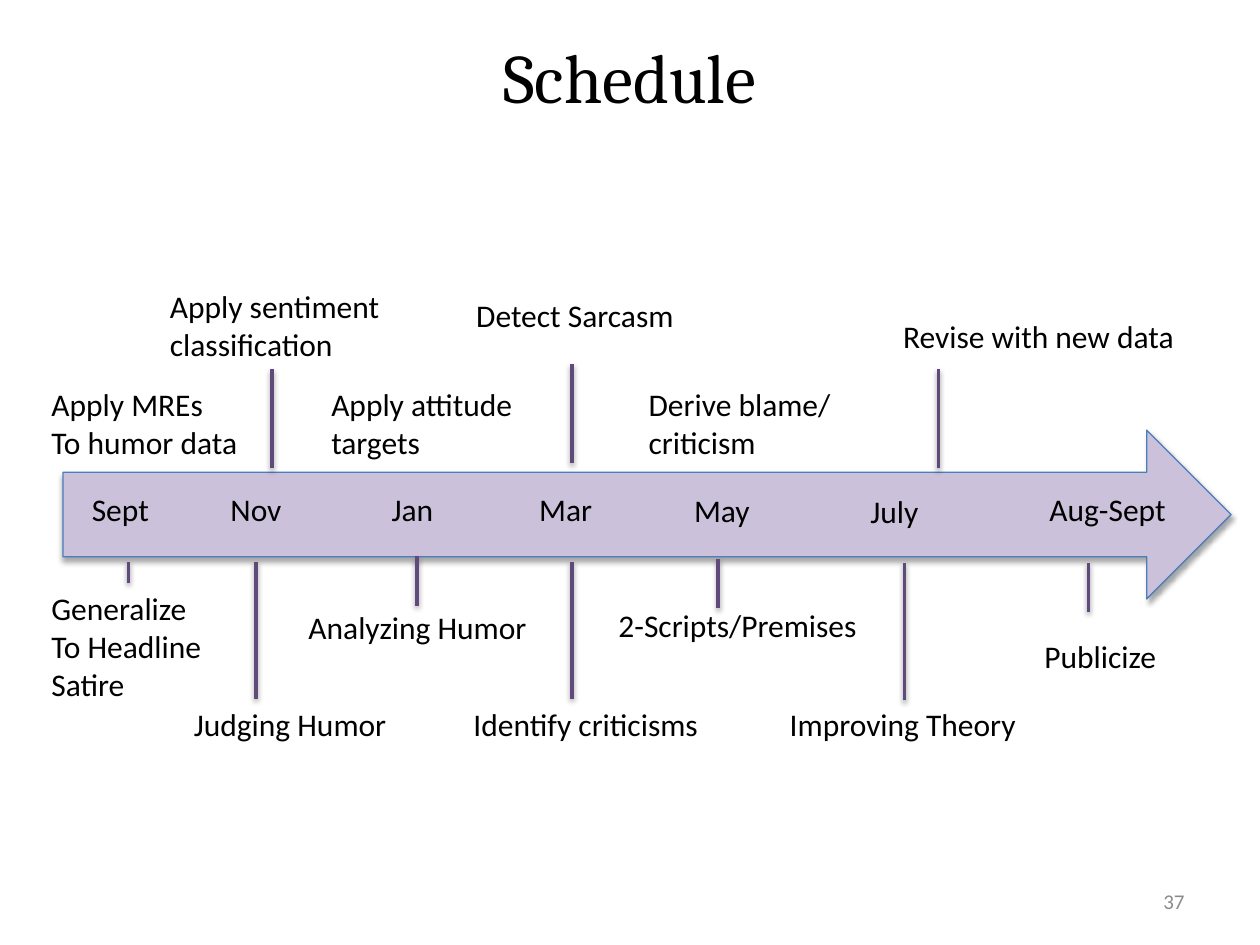
from dataclasses import dataclass

from lxml.etree import SubElement
from pptx import Presentation
from pptx.dml.color import RGBColor
from pptx.enum.shapes import MSO_CONNECTOR, MSO_SHAPE
from pptx.enum.text import MSO_ANCHOR, MSO_AUTO_SIZE, PP_ALIGN
from pptx.oxml.ns import qn
from pptx.util import Pt


@dataclass(frozen=True)
class Theme:
    ink: str = "000000"
    grey: str = "8C8C8C"
    band: str = "CCC1DA"
    edge: str = "4B7EBC"
    stem: str = "604A7B"
    head: str = "Cambria"
    body: str = "Calibri"
    big: float = 39.6
    text: float = 18
    small: float = 12


THEME = Theme()

MONTHS = [
    ("Sept", 9.4, 30.5, 47.5),
    ("Nov", 88.6, 30.5, 43.9),
    ("Jan", 180.7, 30.5, 38.9),
    ("Mar", 265, 30.5, 45.4),
    ("May", 353.5, 31.2, 46.8),
    ("July", 454.3, 31.9, 42.5),
    ("Aug-Sept", 556.6, 30.5, 82.1),
]
BELOW = [
    ("Generalize\nTo Headline\nSatire", -13.7, 87.4, 103),
    ("Judging Humor", 67.7, 153.6, 126),
    ("Analyzing Humor", 133.2, 98.2, 141.1),
    ("Identify criticisms", 227.5, 153.6, 144),
    ("2-Scripts/Premises", 310.3, 96.7, 152.6),
    ("Improving Theory", 408.2, 153.6, 145.4),
    ("Publicize", 553.7, 114.7, 79.2),
]
ABOVE = [
    ("Apply MREs\nTo humor data", -13.7, -29.3, 123.8),
    ("Apply sentiment\nclassification", 54, -85.4, 135.4),
    ("Apply attitude\ntargets", 146.2, -29.3, 118.8),
    ("Detect Sarcasm", 229, -80.4, 128.9),
    ("Derive blame/\ncriticism", 327.6, -29.3, 119.5),
]
WIDE = ("Revise with new data", 473, -68.2, 211)
STEMS = [
    (37.4, 75.1, 12.3),
    (110.2, 75.1, 78.5),
    (290.9, 75.1, 78.5),
    (481, 75.8, 78.5),
    (119.5, -35, 56.8),
    (290.9, -37.9, 56.8),
    (500.4, -35, 56.8),
    (202.3, 72.2, 28.1),
    (374.4, 73.7, 28.1),
    (586.1, 75.8, 28.1),
]


def hue(code):
    return RGBColor.from_string(code)


def write(frame, text, size=THEME.text, font=THEME.body, color=THEME.ink,
          align=PP_ALIGN.LEFT, anchor=MSO_ANCHOR.TOP, wrap=False):
    frame.text = text
    frame.word_wrap = wrap
    frame.vertical_anchor = anchor
    for para in frame.paragraphs:
        para.alignment = align
        para.font.size = Pt(size)
        para.font.name = font
        para.font.color.rgb = hue(color)


def shade(shape, alpha, dist):
    list_ = SubElement(shape._element.spPr, qn("a:effectLst"))
    drop = SubElement(list_, qn("a:outerShdw"), blurRad=str(Pt(3.1)),
                      dist=str(Pt(dist)), dir="5400000", rotWithShape="0")
    tone = SubElement(drop, qn("a:srgbClr"), val="000000")
    SubElement(tone, qn("a:alpha"), val=str(alpha * 1000))


def label(slide, text, x, y, w, wrap=False):
    high = 7.2 + 21.9 * (text.count("\n") + 1)
    box = slide.shapes.add_textbox(Pt(x), Pt(y), Pt(w), Pt(high))
    write(box.text_frame, text, wrap=wrap)
    box.text_frame.auto_size = MSO_AUTO_SIZE.SHAPE_TO_FIT_TEXT


def title(slide, x, y, w, h):
    head = slide.shapes.title
    head.left, head.top, head.width, head.height = map(Pt, (x, y, w, h))
    write(head.text_frame, "Schedule", size=THEME.big, font=THEME.head,
          align=PP_ALIGN.CENTER, anchor=MSO_ANCHOR.MIDDLE, wrap=True)
    head.text_frame.margin_bottom = Pt(50)


def number(slide, x, y, w, h):
    box = slide.shapes.add_textbox(Pt(x), Pt(y), Pt(w), Pt(h))
    write(box.text_frame, "37", size=THEME.small, color=THEME.grey,
          align=PP_ALIGN.RIGHT, anchor=MSO_ANCHOR.MIDDLE, wrap=True)


def stem(slide, x, y, h):
    line = slide.shapes.add_connector(
        MSO_CONNECTOR.STRAIGHT, Pt(x), Pt(y + h), Pt(x), Pt(y))
    line.line.color.rgb = hue(THEME.stem)
    line.line.width = Pt(2)
    shade(line, 38, 1.6)


def timeline(slide, x, y, w, h):
    arrow = slide.shapes.add_shape(
        MSO_SHAPE.RIGHT_ARROW, Pt(x), Pt(y), Pt(w), Pt(h))
    arrow.fill.solid()
    arrow.fill.fore_color.rgb = hue(THEME.band)
    arrow.line.color.rgb = hue(THEME.edge)
    arrow.line.width = Pt(0.75)
    shade(arrow, 35, 1.8)
    for text, dx, dy, wide in MONTHS + BELOW + ABOVE:
        label(slide, text, x + dx, y + dy, wide)
    text, dx, dy, wide = WIDE
    label(slide, text, x + dx, y + dy, wide, wrap=True)
    for dx, dy, high in STEMS:
        stem(slide, x + dx, y + dy, high)


def main():
    deck = Presentation()
    deck.slide_width, deck.slide_height = Pt(720), Pt(540)
    slide = deck.slides.add_slide(deck.slide_layouts[5])
    title(slide, 36, 21.6, 648, 90)
    number(slide, 516, 500.5, 168, 28.75)
    timeline(slide, 36, 245.8, 667.5, 96.5)
    deck.save("out.pptx")


if __name__ == "__main__":
    main()
